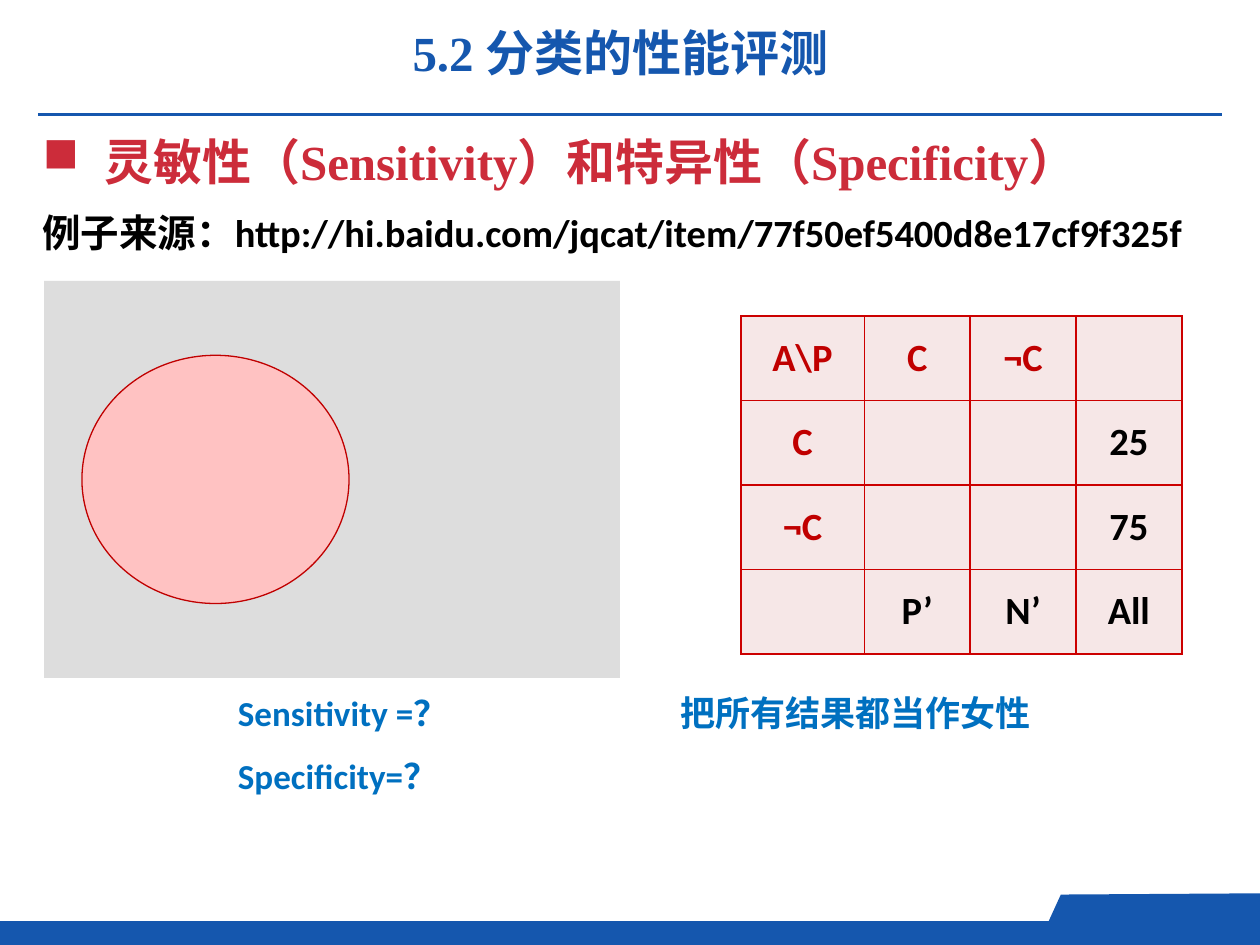
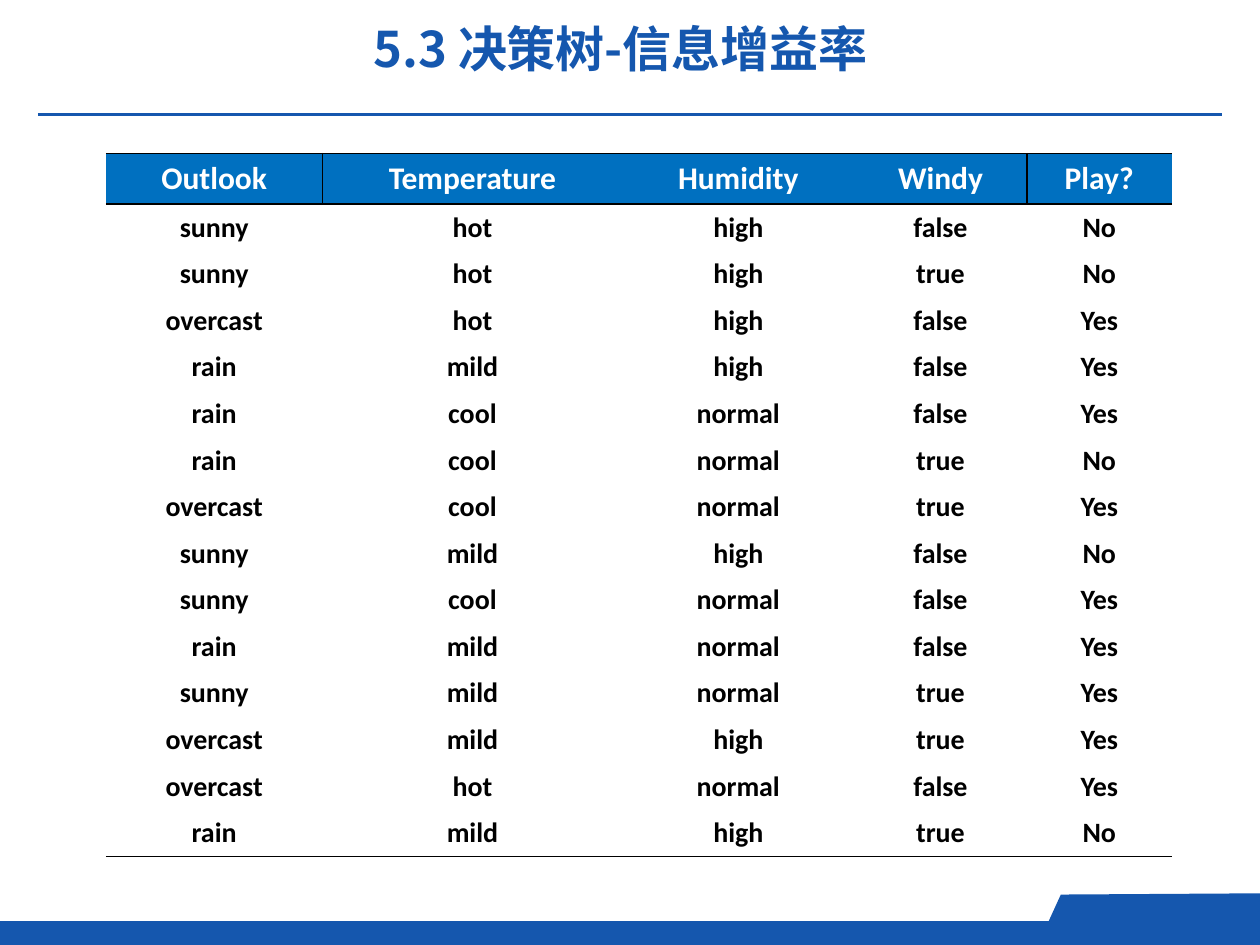
import pptx
import pptx.util
import pptx.dml.color
import pptx.enum.shapes
import pptx.enum.text
import pptx.oxml.ns
from lxml import etree

Inches, Pt = pptx.util.Inches, pptx.util.Pt
RGB = pptx.dml.color.RGBColor
KIND = pptx.enum.shapes.MSO_SHAPE
ALIGN = pptx.enum.text.PP_ALIGN
ANCHOR = pptx.enum.text.MSO_ANCHOR
qn = pptx.oxml.ns.qn

# Colours and fonts
NAVY = RGB(0x15, 0x57, 0xAE)
BLUE = RGB(0x00, 0x70, 0xC0)
RED = RGB(0xCC, 0x2C, 0x3A)
DARK = RGB(0xC0, 0x00, 0x00)
EDGE = RGB(0xCC, 0x00, 0x00)
ROSE = RGB(0xF6, 0xE7, 0xE7)
PINK = RGB(0xFF, 0xC2, 0xC2)
GREY = RGB(0xDD, 0xDD, 0xDD)
BLACK = RGB(0, 0, 0)
WHITE = RGB(0xFF, 0xFF, 0xFF)
SANS, SERIF, HAN = "Calibri", "Times New Roman", "Noto Sans CJK SC"

# Content
HEAD = "灵敏性（Sensitivity）和特异性（Specificity）"
FROM = "例子来源：http://hi.baidu.com/jqcat/item/77f50ef5400d8e17cf9f325f"
ASK = ["Sensitivity =？\t把所有结果都当作女性", "Specificity=？"]
COUNTS = [
    ["A\\P", "C", "¬C", ""],
    ["C", "", "", "25"],
    ["¬C", "", "", "75"],
    ["", "P’", "N’", "All"],
]
GOLF = [
    ["Outlook", "Temperature", "Humidity", "Windy", "Play?"],
    ["sunny", "hot", "high", "false", "No"],
    ["sunny", "hot", "high", "true", "No"],
    ["overcast", "hot", "high", "false", "Yes"],
    ["rain", "mild", "high", "false", "Yes"],
    ["rain", "cool", "normal", "false", "Yes"],
    ["rain", "cool", "normal", "true", "No"],
    ["overcast", "cool", "normal", "true", "Yes"],
    ["sunny", "mild", "high", "false", "No"],
    ["sunny", "cool", "normal", "false", "Yes"],
    ["rain", "mild", "normal", "false", "Yes"],
    ["sunny", "mild", "normal", "true", "Yes"],
    ["overcast", "mild", "high", "true", "Yes"],
    ["overcast", "hot", "normal", "false", "Yes"],
    ["rain", "mild", "high", "true", "No"],
]
NO_GRID = "{2D5ABB26-0587-4C30-8999-92F81FD0307C}"


def write(frame, text, size=20, font=SANS, color=BLACK, align=ALIGN.LEFT,
          space=1.0, bullet=None, indent=0, tab=None):
    """Fill a text frame; a list gives one paragraph per item."""
    frame.word_wrap = True
    for i, line in enumerate([text] if isinstance(text, str) else text):
        para = frame.add_paragraph() if i else frame.paragraphs[0]
        para.alignment, para.line_spacing = align, space
        props = para._p.get_or_add_pPr()
        if bullet:
            props.set("marL", str(Inches(indent)))
            props.set("indent", str(-Inches(indent)))
            etree.SubElement(props, qn("a:buChar"), char=bullet)
        if tab:
            stops = etree.SubElement(props, qn("a:tabLst"))
            etree.SubElement(stops, qn("a:tab"), pos=str(Inches(tab)), algn="l")
        run = para.add_run()
        run.text = line
        run.font.size, run.font.name, run.font.bold = Pt(size), font, True
        run.font.color.rgb = color
        etree.SubElement(run._r.get_or_add_rPr(), qn("a:ea"), typeface=HAN)


def label(slide, spot, text, **form):
    box = slide.shapes.add_textbox(*map(Inches, spot))
    write(box.text_frame, text, **form)


def paint(shape, fill, line=None):
    shape.shadow.inherit = False
    shape.fill.solid()
    shape.fill.fore_color.rgb = fill
    if line:
        shape.line.color.rgb, shape.line.width = line, Pt(0.75)
    else:
        shape.line.fill.background()


def block(slide, kind, spot, fill, line=None):
    paint(slide.shapes.add_shape(kind, *map(Inches, spot)), fill, line)


def border(cell, sides, color):
    """Draw the sides named by letters of LRTB and clear the others."""
    props = cell._tc.get_or_add_tcPr()
    for i, side in enumerate("LRTB"):
        line = etree.Element(qn("a:ln" + side), w=str(Pt(1)))
        props.insert(i, line)
        if side in sides:
            fill = etree.SubElement(line, qn("a:solidFill"))
            etree.SubElement(fill, qn("a:srgbClr"), val=str(color))
        else:
            etree.SubElement(line, qn("a:noFill"))


def grid(slide, left, top, data, cols, rows, style):
    """Add a table; style(r, c) gives fill, sides, edge colour, text format."""
    frame = slide.shapes.add_table(len(rows), len(cols), Inches(left), Inches(top),
                                   Inches(sum(cols)), Inches(sum(rows)))
    table = frame.table
    table.first_row = table.horz_banding = False
    table._tbl.tblPr.find(qn("a:tableStyleId")).text = NO_GRID
    for col, width in zip(table.columns, cols):
        col.width = Inches(width)
    for r, height in enumerate(rows):
        table.rows[r].height = Inches(height)
        for c, word in enumerate(data[r]):
            cell = table.cell(r, c)
            fill, sides, edge, anchor, form = style(r, c)
            if fill:
                cell.fill.solid()
                cell.fill.fore_color.rgb = fill
            else:
                cell.fill.background()
            border(cell, sides, edge)
            cell.vertical_anchor = anchor
            if word:
                write(cell.text_frame, word, align=ALIGN.CENTER, **form)


def count_style(r, c):
    ink = DARK if r + c < 3 else BLACK
    return ROSE, "LRTB", EDGE, ANCHOR.MIDDLE, dict(size=22, color=ink)


def golf_style(r, c):
    last = len(GOLF) - 1
    if r == 0:
        sides = "TB" + {0: "R", 1: "L", 3: "R", 4: "L"}.get(c, "")
        return BLUE, sides, BLACK, ANCHOR.BOTTOM, dict(size=18, color=WHITE)
    sides = {1: "T", last: "B"}.get(r, "")
    return None, sides, BLACK, ANCHOR.BOTTOM, dict(size=16)


def start(deck, title, top, font):
    """Add a slide with the footer band, the rule and the title."""
    slide = deck.slides.add_slide(deck.slide_layouts[6])
    block(slide, KIND.FLOWCHART_PROCESS, (0, 7.31, 10, 0.19), NAVY)
    pen = slide.shapes.build_freeform(Inches(10), Inches(7.45), scale=1.0)
    corner = [(10, 7.09), (8.42, 7.1), (8.26, 7.45)]
    pen.add_line_segments([(Inches(x), Inches(y)) for x, y in corner])
    paint(pen.convert_to_shape(), NAVY)
    rule = slide.shapes.add_connector(pptx.enum.shapes.MSO_CONNECTOR.STRAIGHT,
                                      Inches(0.3), Inches(0.91), Inches(9.7), Inches(0.91))
    rule.line.color.rgb, rule.line.width = NAVY, Pt(1.5)
    etree.SubElement(rule._element.spPr, qn("a:effectLst"))
    label(slide, (0.91, top, 8.03, 0.57), title, size=28, font=font,
          color=NAVY, align=ALIGN.CENTER)
    return slide


def main():
    deck = pptx.Presentation()
    deck.slide_width, deck.slide_height = Inches(10), Inches(7.5)

    # Sensitivity and specificity
    slide = start(deck, "5.2 分类的性能评测", 0.13, SERIF)
    label(slide, (0.24, 0.95, 9.53, 0.62), HEAD, size=28, font=SERIF, color=RED,
          space=1.1, bullet="■", indent=0.49)
    label(slide, (0.24, 1.57, 9.37, 0.67), FROM, size=22, space=1.1)
    label(slide, (1.79, 5.27, 7.15, 1.61), ASK, color=BLUE, space=1.5, tab=3.51)
    block(slide, KIND.RECTANGLE, (0.35, 2.23, 4.57, 3.15), GREY)
    grid(slide, 5.88, 2.51, COUNTS, [0.98] + [0.84] * 3, [0.67] * 4, count_style)
    block(slide, KIND.OVAL, (0.65, 2.82, 2.12, 1.97), PINK, DARK)

    # Decision tree data
    slide = start(deck, "5.3 决策树-信息增益率", 0.1, HAN)
    grid(slide, 0.84, 1.22, GOLF, [1.72, 2.38, 1.84, 1.37, 1.15],
         [0.4] + [0.37] * (len(GOLF) - 1), golf_style)

    deck.save("out.pptx")


if __name__ == "__main__":
    main()
